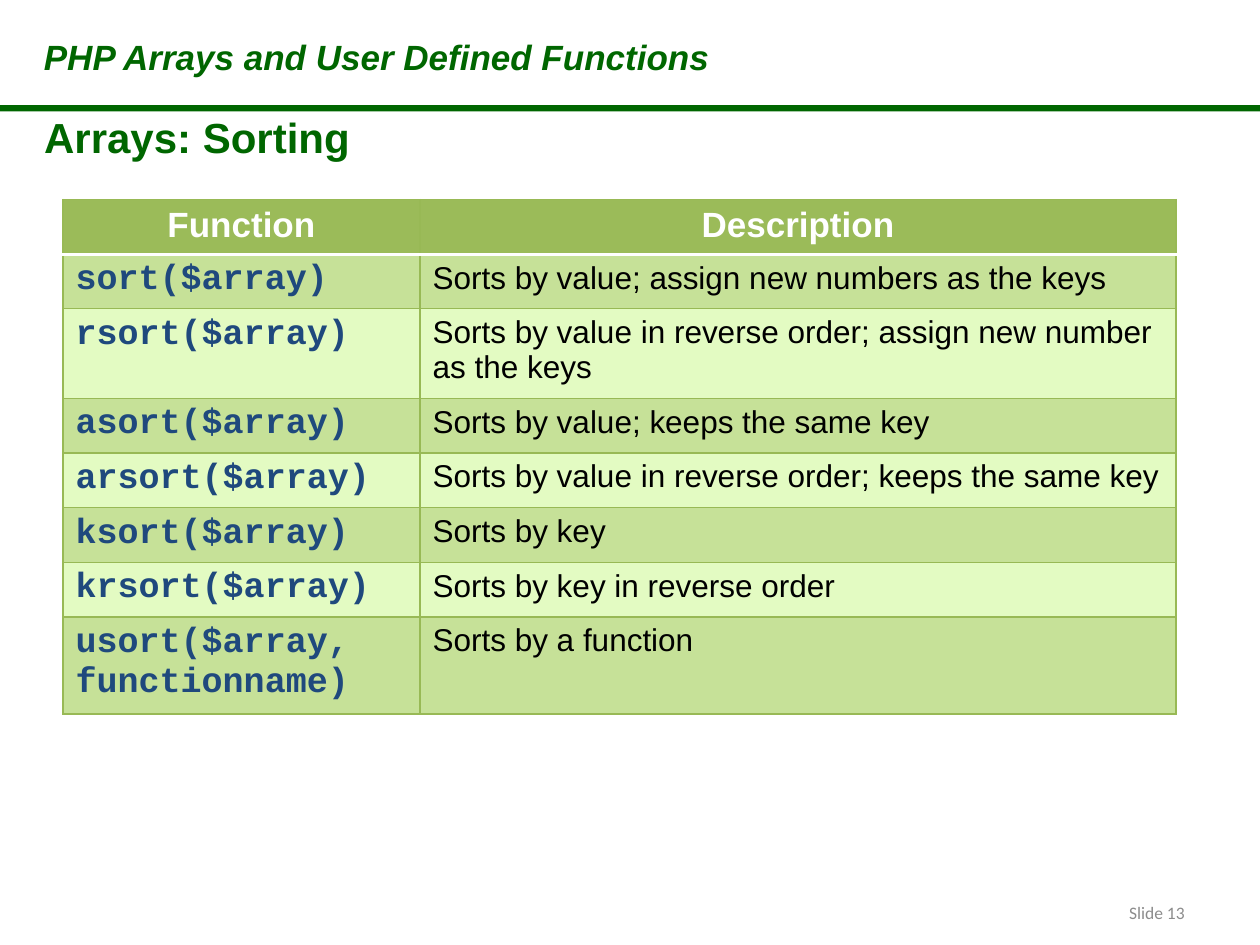
"""Build a slide that lists the PHP array sorting functions."""
from lxml import etree
from pptx import Presentation
from pptx.dml.color import RGBColor
from pptx.enum.shapes import MSO_SHAPE
from pptx.enum.text import MSO_ANCHOR, MSO_AUTO_SIZE, PP_ALIGN
from pptx.oxml.ns import qn
from pptx.util import Inches, Pt

LEFT, CENTER, RIGHT = PP_ALIGN.LEFT, PP_ALIGN.CENTER, PP_ALIGN.RIGHT
TOP, BOTTOM = MSO_ANCHOR.TOP, MSO_ANCHOR.BOTTOM
NO_AUTOFIT = MSO_AUTO_SIZE.NONE
RECTANGLE = MSO_SHAPE.RECTANGLE
TITLE_ONLY = 5
GRID_COLUMNS, GRID_ROWS = 120, 90

COLORS = {
    "green": "006600",
    "header": "9BBB59",
    "dark band": "C6E198",
    "light band": "E3FBC2",
    "border": "98B955",
    "code": "1F497D",
    "text": "000000",
    "white": "FFFFFF",
    "number": "8C8C8C",
}
FORMATS = {
    "course": {"name": "Arial", "size": Pt(20), "bold": True, "italic": True, "color": "green"},
    "title": {"name": "Arial", "size": Pt(24), "bold": True, "color": "green"},
    "header": {"name": "Arial", "size": Pt(20), "bold": True, "color": "white"},
    "code": {"name": "Courier New", "size": Pt(20), "bold": True, "color": "code"},
    "text": {"name": "Arial", "size": Pt(18), "bold": False, "color": "text"},
    "number": {"name": "Calibri", "size": Pt(10), "color": "number"},
}
FUNCTIONS = [
    ("Function", "Description"),
    ("sort($array)", "Sorts by value; assign new numbers as the keys"),
    ("rsort($array)", "Sorts by value in reverse order; assign new number as the keys"),
    ("asort($array)", "Sorts by value; keeps the same key"),
    ("arsort($array)", "Sorts by value in reverse order; keeps the same key"),
    ("ksort($array)", "Sorts by key"),
    ("krsort($array)", "Sorts by key in reverse order"),
    ("usort($array, functionname)", "Sorts by a function"),
]
COLUMN_SHARES = (34 / 106, 72 / 106)
ROW_HEIGHTS = (0.43, 0.43, 0.71, 0.43, 0.43, 0.43, 0.43, 0.77)


def color(name):
    """Return a named colour of the slide."""
    return RGBColor.from_string(COLORS[name])


def grid_box(presentation, left, top, width, height):
    """Turn grid columns and rows into slide lengths."""
    column = presentation.slide_width / GRID_COLUMNS
    row = presentation.slide_height / GRID_ROWS
    return [int(value) for value in (left * column, top * row, width * column, height * row)]


def write(text_frame, text, style, alignment=LEFT):
    """Put one formatted paragraph in a text frame."""
    text_frame.word_wrap = True
    paragraph = text_frame.paragraphs[0]
    paragraph.alignment = alignment
    run = paragraph.add_run()
    run.text = text
    for attribute, value in FORMATS[style].items():
        if attribute == "color":
            run.font.color.rgb = color(value)
        else:
            setattr(run.font, attribute, value)


def add_text(slide, box, text, style, alignment=LEFT, anchor=TOP):
    """Add a text box and return its text frame."""
    text_frame = slide.shapes.add_textbox(*box).text_frame
    text_frame.vertical_anchor = anchor
    write(text_frame, text, style, alignment)
    return text_frame


def add_rule(slide, box):
    """Add the green bar under the course name."""
    shape = slide.shapes.add_shape(RECTANGLE, *box)
    shape.shadow.inherit = False
    shape.fill.solid()
    shape.fill.fore_color.rgb = color("green")
    shape.line.fill.background()


def place_title(slide, box, text):
    """Move the title placeholder to its box and fill it."""
    title = slide.shapes.title
    title.left, title.top, title.width, title.height = box
    title.text_frame.auto_size = NO_AUTOFIT
    title.text_frame.vertical_anchor = TOP
    write(title.text_frame, text, "title")


def set_borders(cell, borders):
    """Draw cell borders given as side, colour name and width."""
    properties = cell._tc.get_or_add_tcPr()
    for position, (side, name, width) in enumerate(borders):
        line = etree.Element(qn(f"a:ln{side}"), w=str(Pt(width)))
        fill = etree.SubElement(line, qn("a:solidFill"))
        etree.SubElement(fill, qn("a:srgbClr"), val=COLORS[name])
        properties.insert(position, line)


def add_function_table(slide, box):
    """Add the banded table of sorting functions."""
    left, top, width, _ = box
    height = Inches(sum(ROW_HEIGHTS))
    table = slide.shapes.add_table(len(FUNCTIONS), 2, left, top, width, height).table
    for column, share in zip(table.columns, COLUMN_SHARES):
        column.width = int(width * share)
    for row_index, texts in enumerate(FUNCTIONS):
        table.rows[row_index].height = Inches(ROW_HEIGHTS[row_index])
        is_header = row_index == 0
        band = "header" if is_header else ("light band", "dark band")[row_index % 2]
        top_line = ("white", 2) if row_index == 1 else ("border", 0.75)
        bottom_line = ("white", 2) if is_header else ("border", 0.75)
        for column_index, text in enumerate(texts):
            cell = table.cell(row_index, column_index)
            cell.fill.solid()
            cell.fill.fore_color.rgb = color(band)
            style = "header" if is_header else ("code", "text")[column_index]
            write(cell.text_frame, text, style, CENTER if is_header else LEFT)
            set_borders(cell, [
                ("L", "border", 0.75), ("R", "border", 0.75),
                ("T", *top_line), ("B", *bottom_line),
            ])


def main():
    """Build and save the slide."""
    presentation = Presentation()
    presentation.slide_width, presentation.slide_height = Inches(10), Inches(7.5)
    slide = presentation.slides.add_slide(presentation.slide_layouts[TITLE_ONLY])
    number = add_text(slide, grid_box(presentation, 86, 83.4, 28, 4.8), "Slide 13", "number", RIGHT, BOTTOM)
    number.margin_bottom = Inches(0.02)
    add_text(slide, grid_box(presentation, 3, 2.8, 73, 5.2), "PHP Arrays and User Defined Functions", "course")
    add_rule(slide, grid_box(presentation, 0, 10, 120, 0.6))
    place_title(slide, grid_box(presentation, 3, 10, 113, 6), "Arrays: Sorting")
    add_function_table(slide, grid_box(presentation, 6, 19, 106, 49))
    presentation.save("out.pptx")


if __name__ == "__main__":
    main()
